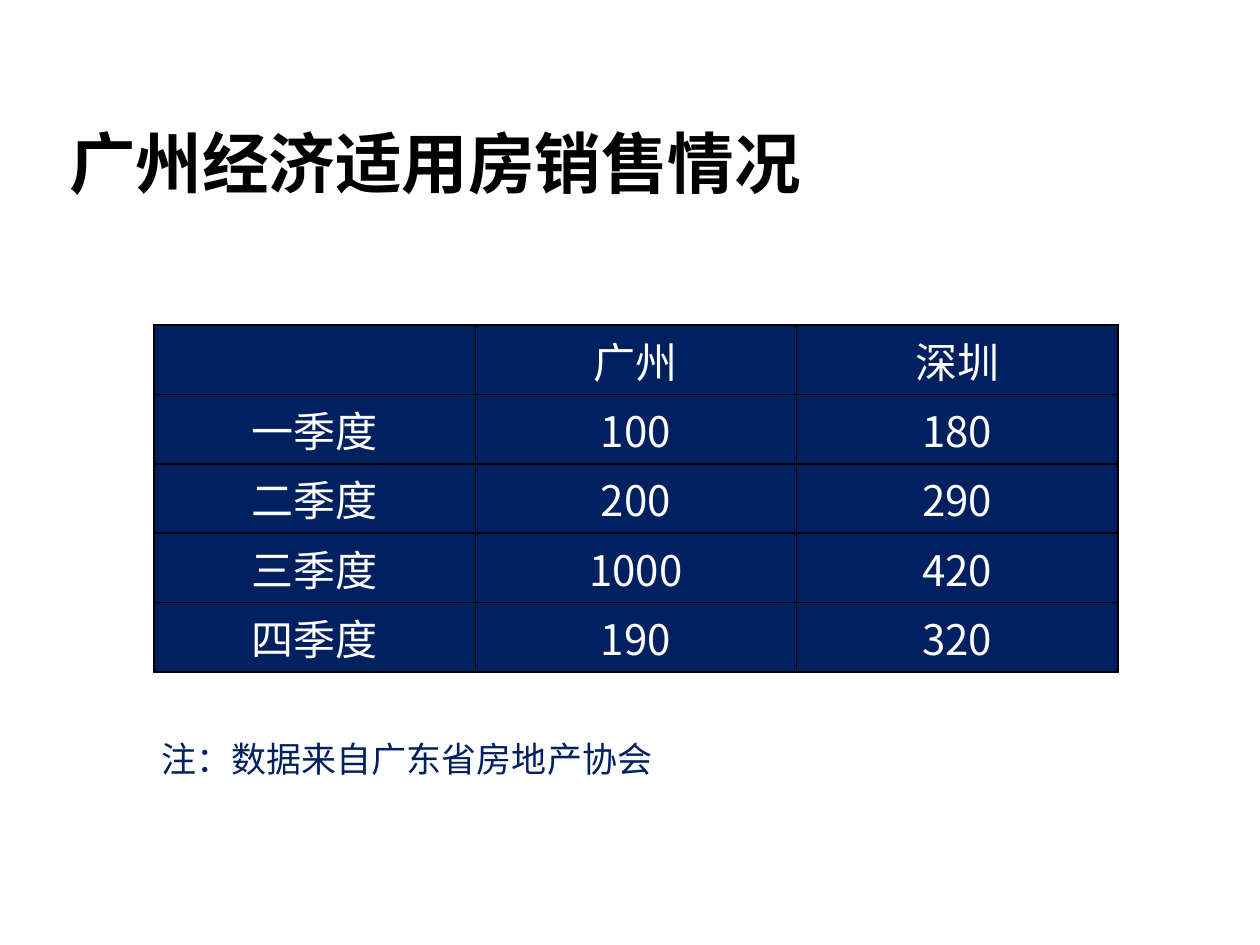
from dataclasses import dataclass

from lxml.etree import SubElement
from pptx import Presentation
from pptx.dml.color import RGBColor
from pptx.enum.text import MSO_ANCHOR as Anchor, MSO_AUTO_SIZE as AutoSize, PP_ALIGN as Align
from pptx.oxml import parse_xml
from pptx.oxml.ns import nsdecls, qn
from pptx.util import Emu, Pt

EMU_PER_PX = 914400 / 126
BLACK = RGBColor(0x00, 0x00, 0x00)
WHITE = RGBColor(0xFF, 0xFF, 0xFF)
NAVY = RGBColor(0x00, 0x20, 0x60)
CJK_FONT = "Noto Sans CJK SC"

SALES = [
    ("", "广州", "深圳"),
    ("一季度", "100", "180"),
    ("二季度", "200", "290"),
    ("三季度", "1000", "420"),
    ("四季度", "190", "320"),
]


@dataclass(frozen=True)
class Area:
    left: int
    top: int
    width: int
    height: int

    def emu(self) -> tuple[Emu, ...]:
        return tuple(px(n) for n in (self.left, self.top, self.width, self.height))


@dataclass(frozen=True)
class TextStyle:
    size: int
    color: RGBColor
    latin: str = CJK_FONT
    bold: bool = False
    align: Align = Align.LEFT


TITLE_AREA = Area(63, 44, 998, 158)
TABLE_AREA = Area(154, 325, 964, 347)
NOTE_AREA = Area(149, 731, 546, 55)
TITLE_STYLE = TextStyle(38, BLACK, "Karla", bold=True)
CELL_STYLE = TextStyle(24, WHITE, align=Align.CENTER)
NOTE_STYLE = TextStyle(20, NAVY)


def px(length: int) -> Emu:
    return Emu(round(length * EMU_PER_PX))


def write(frame, text: str, style: TextStyle) -> None:
    frame.text = text
    para = frame.paragraphs[0]
    para.alignment = style.align
    for span in para.runs:
        font = span.font
        font.size, font.bold, font.name = Pt(style.size), style.bold, style.latin
        font.color.rgb = style.color
        SubElement(font._element, qn("a:ea"), typeface=CJK_FONT)


def add_borders(cell) -> None:
    """Put a 1 pt black line on each side, ahead of the cell's fill."""
    properties = cell._tc.get_or_add_tcPr()
    for index, side in enumerate("LRTB"):
        properties.insert(index, parse_xml(
            f'<a:ln{side} {nsdecls("a")} w="{Pt(1)}"><a:solidFill>'
            f'<a:srgbClr val="{BLACK}"/></a:solidFill></a:ln{side}>'))


def add_title(slide, text: str) -> None:
    title = slide.shapes.title
    title.left, title.top, title.width, title.height = TITLE_AREA.emu()
    frame = title.text_frame
    frame.auto_size = AutoSize.NONE
    frame.vertical_anchor = Anchor.BOTTOM
    frame.margin_left = frame.margin_right = px(6)
    frame.margin_top = frame.margin_bottom = 0
    write(frame, text, TITLE_STYLE)


def add_sales_table(slide, rows: list[tuple[str, ...]]) -> None:
    table = slide.shapes.add_table(len(rows), len(rows[0]), *TABLE_AREA.emu()).table
    for row, values in zip(table.rows, rows):
        for cell, value in zip(row.cells, values):
            cell.fill.solid()
            cell.fill.fore_color.rgb = NAVY
            cell.vertical_anchor = Anchor.MIDDLE
            cell.margin_left = cell.margin_right = px(9)
            cell.margin_top = cell.margin_bottom = 0
            write(cell.text_frame, value, CELL_STYLE)
            add_borders(cell)


def add_note(slide, text: str) -> None:
    frame = slide.shapes.add_textbox(*NOTE_AREA.emu()).text_frame
    frame.word_wrap = True
    frame.auto_size = AutoSize.SHAPE_TO_FIT_TEXT
    write(frame, text, NOTE_STYLE)


def main() -> None:
    deck = Presentation()
    deck.slide_width, deck.slide_height = px(1260), px(945)
    page = deck.slides.add_slide(deck.slide_layouts[5])
    add_title(page, "广州经济适用房销售情况")
    add_sales_table(page, SALES)
    add_note(page, "注：数据来自广东省房地产协会")
    deck.save("out.pptx")


if __name__ == "__main__":
    main()
